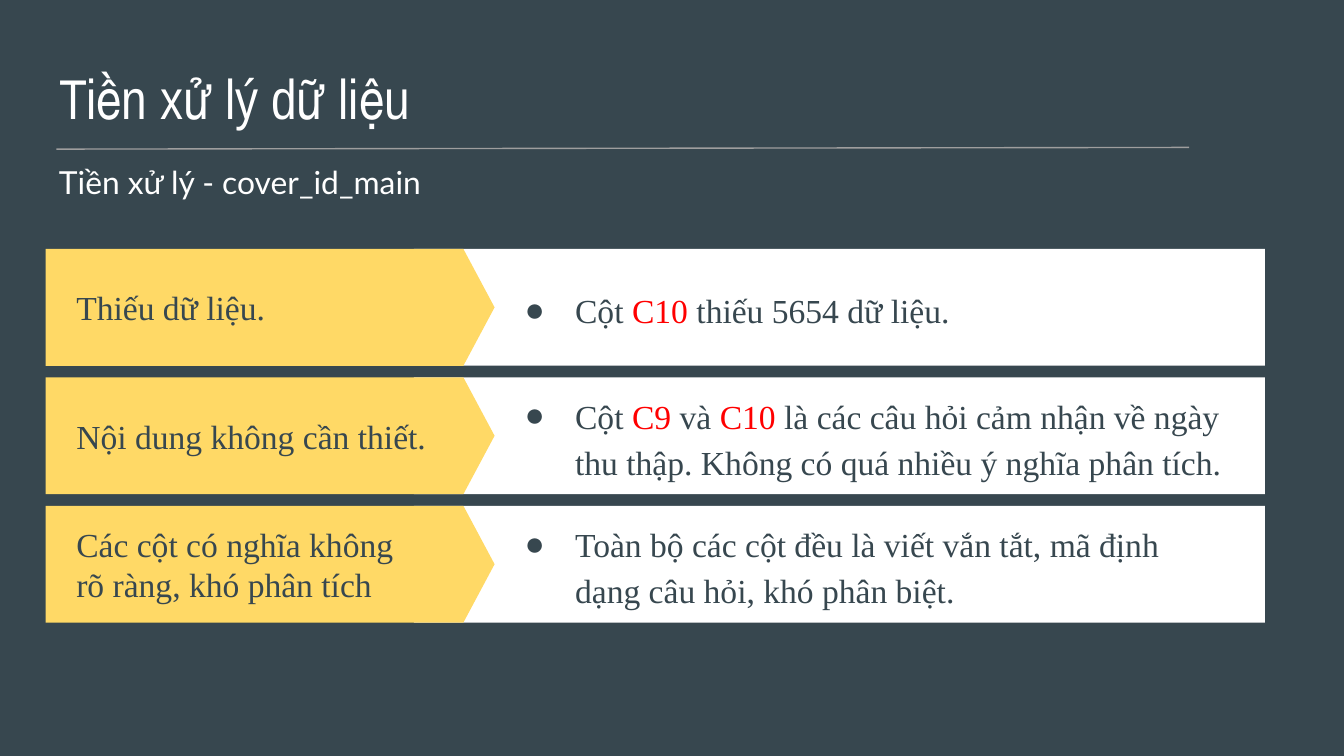
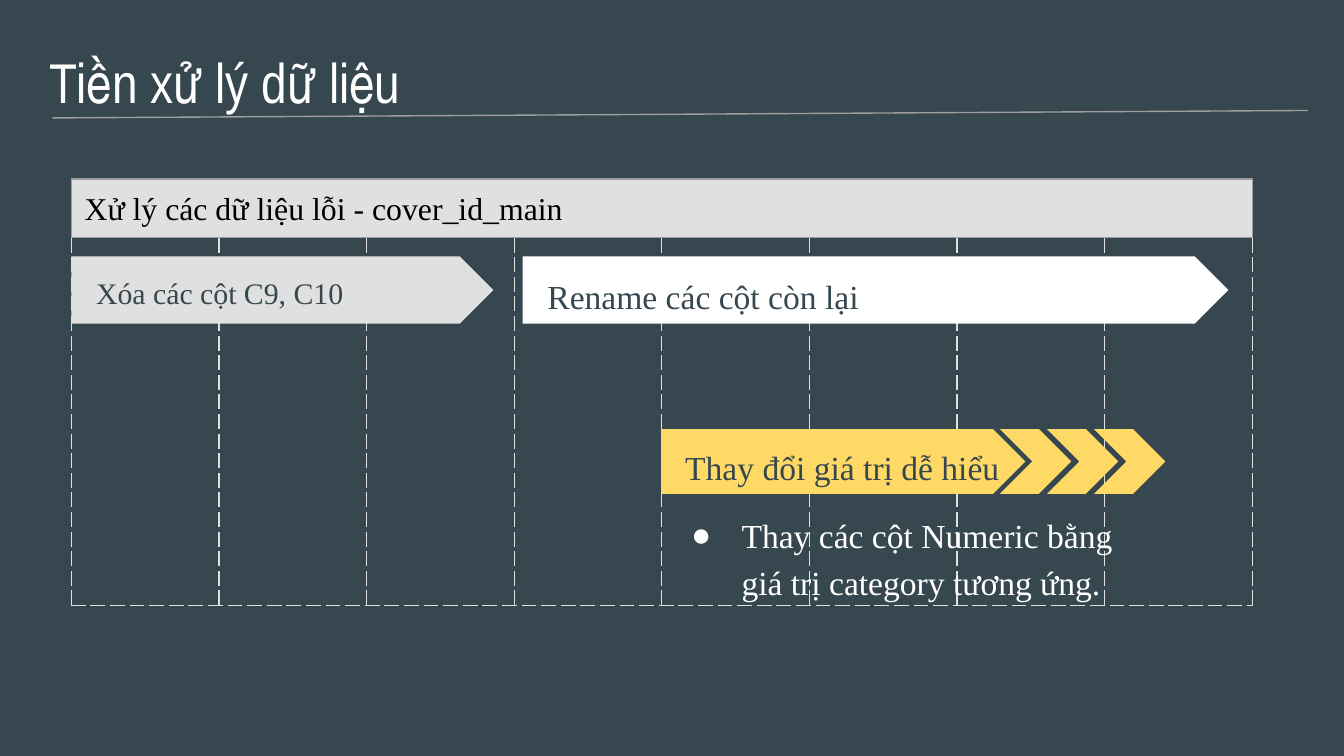
from lxml.etree import SubElement
from pptx import Presentation
from pptx.dml.color import RGBColor
from pptx.enum.shapes import MSO_CONNECTOR as Connector, MSO_SHAPE as Shape
from pptx.enum.text import MSO_ANCHOR as Anchor, MSO_AUTO_SIZE as AutoSize, PP_ALIGN as Align
from pptx.oxml import parse_xml
from pptx.oxml.ns import nsdecls, qn
from pptx.util import Pt

SLATE, YELLOW, WHITE, RED = "37474F", "FFD966", "FFFFFF", "FF0000"
PALE, GREY, BLACK = "E0E0E0", "9E9E9E", "000000"
SERIF, TITLE_FONT, SUBTITLE_FONT = "Times New Roman", "Arial Narrow", "Lato"
INSET = 7.2
TITLE = "Tiền xử lý dữ liệu"

# Label, label width, and the runs of the explanation
ISSUES = [
    ("Thiếu dữ liệu.", 190.8,
     [("Cột", SLATE), (" C10 ", RED), ("thiếu 5654 dữ liệu.", SLATE)]),
    ("Nội dung không cần thiết.", 226,
     [("Cột ", SLATE), ("C9 ", RED), ("và ", SLATE), ("C10 ", RED),
      ("là các câu hỏi cảm nhận về ngày thu thập. "
       "Không có quá nhiều ý nghĩa phân tích.", SLATE)]),
    ("Các cột có nghĩa không rõ ràng, khó phân tích", 190.8,
     [("Toàn bộ các cột đều là viết vắn tắt, mã định dạng câu hỏi, "
       "khó phân biệt.", SLATE)]),
]


def rgb(hex_color):
    return RGBColor.from_string(hex_color)


def points(*lengths):
    return [Pt(length) for length in lengths]


def write(shape, runs, size, font=SERIF, anchor=Anchor.TOP, spacing=None):
    """Fill a shape with one left-aligned paragraph of (text, colour) runs."""
    frame = shape.text_frame
    frame.word_wrap = True
    frame.auto_size = AutoSize.NONE
    frame.vertical_anchor = anchor
    frame.margin_left = frame.margin_right = Pt(INSET)
    frame.margin_top = frame.margin_bottom = Pt(INSET)
    paragraph = frame.paragraphs[0]
    paragraph.alignment = Align.LEFT
    if spacing:
        paragraph.line_spacing = spacing
    for text, color in runs:
        run = paragraph.add_run()
        run.text = text
        run.font.size = Pt(size)
        run.font.name = font
        run.font.color.rgb = rgb(color)
    return paragraph


def add_text(slide, box, runs, size=18, **style):
    return write(slide.shapes.add_textbox(*points(*box)), runs, size, **style)


def add_bullet(slide, box, runs, anchor=Anchor.TOP):
    paragraph = add_text(slide, box, runs, anchor=anchor, spacing=1.15)
    props = paragraph._p.get_or_add_pPr()
    props.set("marL", str(Pt(36)))
    props.set("indent", str(Pt(-27)))
    bullet_color = SubElement(props, qn("a:buClr"))
    SubElement(bullet_color, qn("a:srgbClr"), val=runs[0][1])
    SubElement(props, qn("a:buSzPts"), val="1800")
    SubElement(props, qn("a:buFont"), typeface=SERIF)
    SubElement(props, qn("a:buChar"), char="●")


def add_block(parent, kind, box, fill, point=None, line=None):
    block = parent.shapes.add_shape(kind, *points(*box))
    block.shadow.inherit = False
    block.fill.solid()
    block.fill.fore_color.rgb = rgb(fill)
    if point is not None:
        block.adjustments[0] = point
    if line:
        block.line.color.rgb = rgb(line)
        block.line.width = Pt(0.75)
    else:
        block.line.fill.background()
    return block


def add_rule(slide, *ends):
    rule = slide.shapes.add_connector(Connector.STRAIGHT, *points(*ends))
    rule.line.color.rgb = rgb(GREY)
    rule.line.width = Pt(0.75)
    SubElement(rule._element.spPr, qn("a:effectLst"))


def add_titled_slide(deck, left, top):
    slide = deck.slides.add_slide(deck.slide_layouts[5])
    slide.background.fill.solid()
    slide.background.fill.fore_color.rgb = rgb(SLATE)
    title = slide.shapes.title
    title.left, title.top, title.width, title.height = points(left, top, 671, 45.4)
    write(title, [(TITLE, WHITE)], 30, font=TITLE_FONT)
    return slide


def border_cell(cell):
    """Dashed borders on every side but the top."""
    cell.fill.background()
    props = cell._tc.get_or_add_tcPr()
    dashed = (f'<a:solidFill><a:srgbClr val="{PALE}"/></a:solidFill>'
              '<a:prstDash val="dash"/>')
    for place, side in enumerate("LRTB"):
        paint = "<a:noFill/>" if side == "T" else dashed
        props.insert(place, parse_xml(
            f'<a:ln{side} {nsdecls("a")} w="{Pt(0.75)}">{paint}</a:ln{side}>'))


def add_timeline_grid(slide, left, top, width, height, columns):
    grid = slide.shapes.add_table(1, columns, *points(left, top, width, height)).table
    grid.first_row = grid.horz_banding = False
    for column in grid.columns:
        column.width = Pt(width / columns)
    for cell in grid.iter_cells():
        border_cell(cell)


def add_issue(slide, top, label, label_width, explanation):
    height = 62.6
    band = slide.shapes.add_group_shape()
    add_block(band, Shape.RECTANGLE, (221.8, top, 455.8, height), WHITE)
    add_block(band, Shape.PENTAGON, (24.5, top, 240.5, height), YELLOW, 0.267)
    add_text(slide, (33.8, top, label_width, height), [(label, SLATE)],
             anchor=Anchor.MIDDLE)
    add_bullet(slide, (265, top, 402.5, height), explanation, Anchor.MIDDLE)


def build_issues(deck):
    slide = add_titled_slide(deck, 24.5, 26.6)
    for row, issue in enumerate(ISSUES):
        add_issue(slide, 133.4 + 68.8 * row, *issue)
    add_text(slide, (24.5, 80, 267, 48), [("Tiền xử lý - cover_id_main", WHITE)],
             size=17, font=SUBTITLE_FONT)
    add_rule(slide, 30.2, 79.9, 637, 79)


def build_fixes(deck):
    left, top, width = 38.2, 95.8, 632.9
    slide_grid_height = 228.6
    slide = add_titled_slide(deck, 19.4, 18)
    add_timeline_grid(slide, left, top, width, slide_grid_height, 8)

    # First steps
    for start, length, fill, text, text_width, size in [
            (left, 226.1, PALE, "Xóa các cột C9, C10", 202.3, 16),
            (280, 378, WHITE, "Rename các cột còn lại", 352, 18)]:
        add_block(slide, Shape.PENTAGON, (start, 137.4, length, 36), fill, 0.5)
        add_text(slide, (start + 6.2, 137.2, text_width, 36), [(text, SLATE)],
                 size=size, spacing=1.15)

    # Last step with its trailing chevrons
    step_left, step_top, step_height = 354.2, 229.9, 34.7
    step = slide.shapes.add_group_shape()
    add_block(step, Shape.PENTAGON, (step_left, step_top, 195.1, step_height), YELLOW, 0.5)
    for order in range(3):
        add_block(step, Shape.CHEVRON,
                  (535.7 + 25.2 * order, step_top, 38.2, step_height), YELLOW, 0.5)
    add_text(slide, (360, 229.2, 202.3, 36), [("Thay đổi giá trị dễ hiểu", SLATE)],
             spacing=1.15)
    add_bullet(slide, (step_left, 265.7, 270, 79.2),
               [("Thay các cột Numeric bằng giá trị category tương ứng.", WHITE)])

    add_rule(slide, 28.1, 63.2, 700.6, 59.2)
    header = add_block(slide, Shape.RECTANGLE, (left, top, width, 31.5), PALE, line=GREY)
    write(header, [("Xử lý các dữ liệu lỗi - cover_id_main", BLACK)], 17,
          anchor=Anchor.MIDDLE)


def main():
    deck = Presentation()
    deck.slide_width, deck.slide_height = points(720, 405)
    build_issues(deck)
    build_fixes(deck)
    deck.save("out.pptx")


if __name__ == "__main__":
    main()
